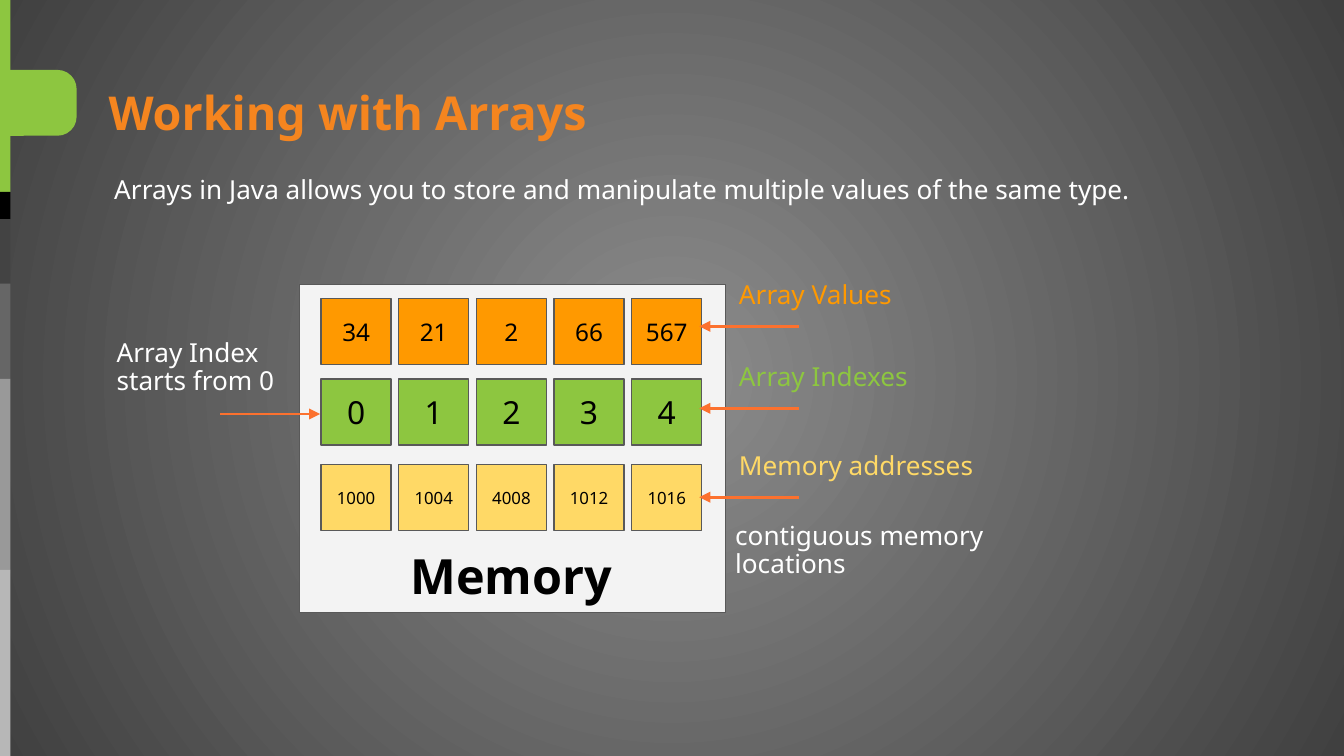
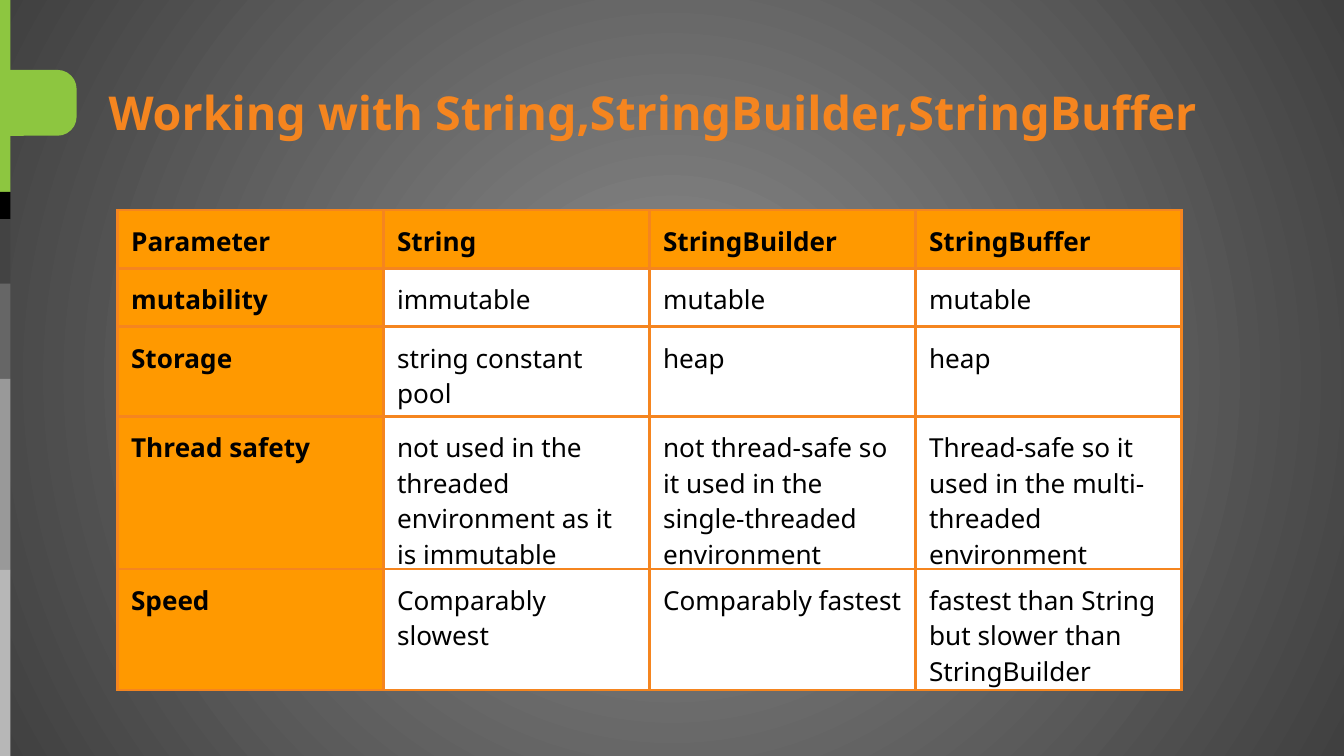
from dataclasses import dataclass
from itertools import pairwise

from lxml.etree import SubElement
from pptx import Presentation
from pptx.dml.color import RGBColor
from pptx.enum.shapes import MSO_CONNECTOR, MSO_SHAPE
from pptx.enum.text import MSO_ANCHOR, MSO_AUTO_SIZE, PP_ALIGN
from pptx.oxml.ns import qn
from pptx.util import Pt


@dataclass(frozen=True)
class Theme:
    font: str = "Noto Sans"
    title_color: str = "F5851F"
    white: str = "FFFFFF"
    black: str = "000000"
    orange: str = "FF9900"
    green: str = "8DC640"
    yellow: str = "FFD966"
    panel: str = "F3F3F3"
    outline: str = "595959"
    arrow: str = "FC712E"
    background: tuple = ("8C8C8C", "404040")
    bands: tuple = ("8DC640", "8DC640", "000000", "434343", "666666", "999999", "B7B7B7")
    title_size: float = 25
    body_size: float = 14
    memory_size: float = 26
    value_size: float = 13
    index_size: float = 17
    address_size: float = 9
    inset: float = 7.2


THEME = Theme()
BAND_EDGES = (0, 75.6, 102.8, 117.4, 152, 203, 305.3, 405)
BAND_WIDTH = 5.6
CELL_LEFT, CELL_PITCH, CELL_WIDTH, CELL_HEIGHT = 172, 41.6, 37.6, 35.4

MEMORY_ROWS = (
    (160, THEME.orange, THEME.value_size, ("34", "21", "2", "66", "567")),
    (203, THEME.green, THEME.index_size, ("0", "1", "2", "3", "4")),
    (249, THEME.yellow, THEME.address_size, ("1000", "1004", "4008", "1012", "1016")),
)
ARROW_LABELS = (
    ("Array Values", 144, THEME.orange),
    ("Array Indexes", 188, THEME.green),
    ("Memory addresses", 235.6, THEME.yellow),
)
COMPARISON = (
    ("Parameter", "String", "StringBuilder", "StringBuffer"),
    ("mutability", "immutable", "mutable", "mutable"),
    ("Storage", "string constant pool", "heap", "heap"),
    (
        "Thread safety",
        "not used in the threaded environment as it is immutable",
        "not thread-safe so it used in the single-threaded environment",
        "Thread-safe so it used in the multi-threaded environment",
    ),
    (
        "Speed",
        "Comparably slowest",
        "Comparably fastest",
        "fastest than String but slower than StringBuilder",
    ),
)


def rgb(color):
    return RGBColor.from_string(color)


def write_text(frame, text, *, size=THEME.body_size, color=THEME.black, bold=False,
               align=PP_ALIGN.LEFT, spacing=1.0):
    paragraph = frame.paragraphs[0]
    paragraph.alignment = align
    paragraph.line_spacing = spacing
    paragraph.space_before = Pt(0)
    run = paragraph.add_run()
    run.text = text
    run.font.name = THEME.font
    run.font.size = Pt(size)
    run.font.bold = bold
    run.font.color.rgb = rgb(color)


def prepare_frame(frame, *, anchor=MSO_ANCHOR.TOP, auto_size=MSO_AUTO_SIZE.NONE):
    frame.word_wrap = True
    frame.auto_size = auto_size
    frame.vertical_anchor = anchor
    frame.margin_left = frame.margin_right = Pt(THEME.inset)
    frame.margin_top = frame.margin_bottom = Pt(THEME.inset)
    return frame


def place(shape, left, top, width, height):
    shape.left, shape.top = Pt(left), Pt(top)
    shape.width, shape.height = Pt(width), Pt(height)


def add_box(slide, left, top, width, height, fill, *, line=None,
            kind=MSO_SHAPE.RECTANGLE):
    shape = slide.shapes.add_shape(kind, Pt(left), Pt(top), Pt(width), Pt(height))
    shape.shadow.inherit = False
    shape.fill.solid()
    shape.fill.fore_color.rgb = rgb(fill)
    if line:
        shape.line.color.rgb = rgb(line)
        shape.line.width = Pt(0.75)
    else:
        shape.line.fill.background()
    return shape


def add_label(slide, text, left, top, width, height, *, anchor=MSO_ANCHOR.TOP, **text_format):
    box = slide.shapes.add_textbox(Pt(left), Pt(top), Pt(width), Pt(height))
    write_text(prepare_frame(box.text_frame, anchor=anchor), text, **text_format)


def add_arrow(slide, start, end, y):
    arrow = slide.shapes.add_connector(MSO_CONNECTOR.STRAIGHT, Pt(start), Pt(y), Pt(end), Pt(y))
    arrow.line.color.rgb = rgb(THEME.arrow)
    arrow.line.width = Pt(1.5)
    SubElement(arrow.line._get_or_add_ln(), qn("a:tailEnd"), type="triangle")
    SubElement(arrow.element.spPr, qn("a:effectLst"))


def set_title(slide, text, width):
    title = slide.shapes.title
    place(title, 51, 33, width, 44.6)
    frame = prepare_frame(title.text_frame, auto_size=MSO_AUTO_SIZE.SHAPE_TO_FIT_TEXT)
    write_text(frame, text, size=THEME.title_size, color=THEME.title_color,
               bold=True, spacing=1.15)


def set_body(slide, text):
    body = slide.placeholders[1]
    place(body, 54, 87.8, 612, 69)
    frame = prepare_frame(body.text_frame)
    properties = frame.paragraphs[0]._p.get_or_add_pPr()
    properties.set("marL", "0")
    properties.set("indent", "0")
    SubElement(properties, qn("a:buNone"))
    write_text(frame, text, color=THEME.white, spacing=0.9)


def set_background(master):
    fill = master.background.fill
    fill.gradient()
    for stop, color, position in zip(fill.gradient_stops, THEME.background, (0, 1)):
        stop.color.rgb = rgb(color)
        stop.position = position
    gradient = master.element.find(".//" + qn("p:bg")).find(".//" + qn("a:gradFill"))
    gradient.remove(gradient.find(qn("a:lin")))
    circle = SubElement(gradient, qn("a:path"), path="circle")
    SubElement(circle, qn("a:fillToRect"), l="50000", t="50000", r="50000", b="50000")


def decorate_master(master, slide):
    set_background(master)
    decorations = [
        add_box(slide, 0, top, BAND_WIDTH, bottom - top, color)
        for (top, bottom), color in zip(pairwise(BAND_EDGES), THEME.bands)
    ]
    tab = add_box(slide, 2.9, 34.6, 35.3, 41, THEME.green,
                  kind=MSO_SHAPE.ROUND_2_SAME_RECTANGLE)
    tab.adjustments[0] = 0.29
    tab.rotation = 90
    for number, shape in enumerate(decorations + [tab], start=100):
        shape.element.find(".//" + qn("p:cNvPr")).set("id", str(number))
        master.shapes.element.append(shape.element)


def add_memory_diagram(slide):
    add_box(slide, 160.6, 152.6, 228, 175.7, THEME.panel, line=THEME.outline)
    for top, color, size, values in MEMORY_ROWS:
        for column, value in enumerate(values):
            cell = add_box(slide, CELL_LEFT + column * CELL_PITCH, top,
                           CELL_WIDTH, CELL_HEIGHT, color, line=THEME.outline)
            frame = prepare_frame(cell.text_frame, anchor=MSO_ANCHOR.MIDDLE)
            write_text(frame, value, size=size, align=PP_ALIGN.CENTER)
    add_label(slide, "Memory", 204.5, 294.5, 139, 27.4, anchor=MSO_ANCHOR.MIDDLE,
              size=THEME.memory_size, bold=True, align=PP_ALIGN.CENTER)
    add_arrow(slide, 118, 171.5, 221.8)
    add_label(slide, "Array Index starts from 0", 55.4, 175, 116.6, 51,
              color=THEME.white, spacing=0.9)
    for text, top, color in ARROW_LABELS:
        add_arrow(slide, 427.8, 374.6, top + 30.8)
        add_label(slide, text, 388.8, top, 146, 27.4, color=color, spacing=0.9)
    add_label(slide, "contiguous memory locations", 386.8, 273, 163.4, 27.4,
              color=THEME.white, spacing=0.9)


def format_cell(cell, text, is_header):
    properties = cell._tc.get_or_add_tcPr()
    for side in ("lnL", "lnR", "lnT", "lnB"):
        border = SubElement(properties, qn("a:" + side), w=str(Pt(1.5)))
        fill = SubElement(border, qn("a:solidFill"))
        SubElement(fill, qn("a:srgbClr"), val=THEME.title_color)
    cell.fill.solid()
    cell.fill.fore_color.rgb = rgb(THEME.orange if is_header else THEME.white)
    cell.margin_left = cell.margin_right = Pt(THEME.inset)
    cell.margin_top = cell.margin_bottom = Pt(THEME.inset)
    write_text(cell.text_frame, text, bold=is_header)


def add_comparison_table(slide, rows):
    frame = slide.shapes.add_table(len(rows), len(rows[0]), Pt(63), Pt(112.5), Pt(570), Pt(151))
    table = frame.table
    table.first_row = table.horz_banding = False
    for row, texts in enumerate(rows):
        for column, text in enumerate(texts):
            format_cell(table.cell(row, column), text, row == 0 or column == 0)
    frame.width = frame.height = Pt(236)


def main():
    presentation = Presentation()
    presentation.slide_width, presentation.slide_height = Pt(720), Pt(405)
    layouts = presentation.slide_layouts

    arrays = presentation.slides.add_slide(layouts.get_by_name("Title and Content"))
    decorate_master(presentation.slide_master, arrays)
    set_title(arrays, "Working with Arrays", 563.8)
    set_body(arrays, "Arrays in Java allows you to store and manipulate "
                     "multiple values of the same type.")
    add_memory_diagram(arrays)

    strings = presentation.slides.add_slide(layouts.get_by_name("Title Only"))
    set_title(strings, "Working with String,StringBuilder,StringBuffer", 612)
    add_comparison_table(strings, COMPARISON)

    presentation.save("out.pptx")


if __name__ == "__main__":
    main()
